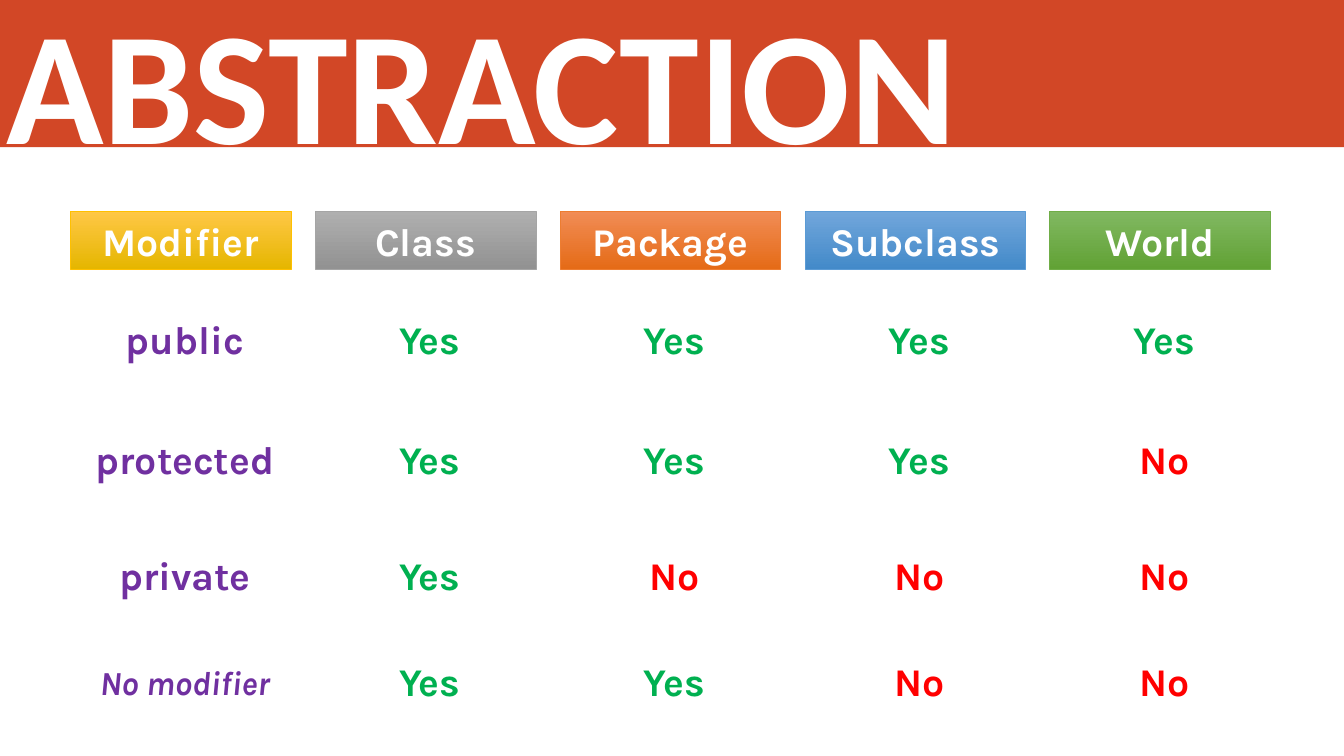
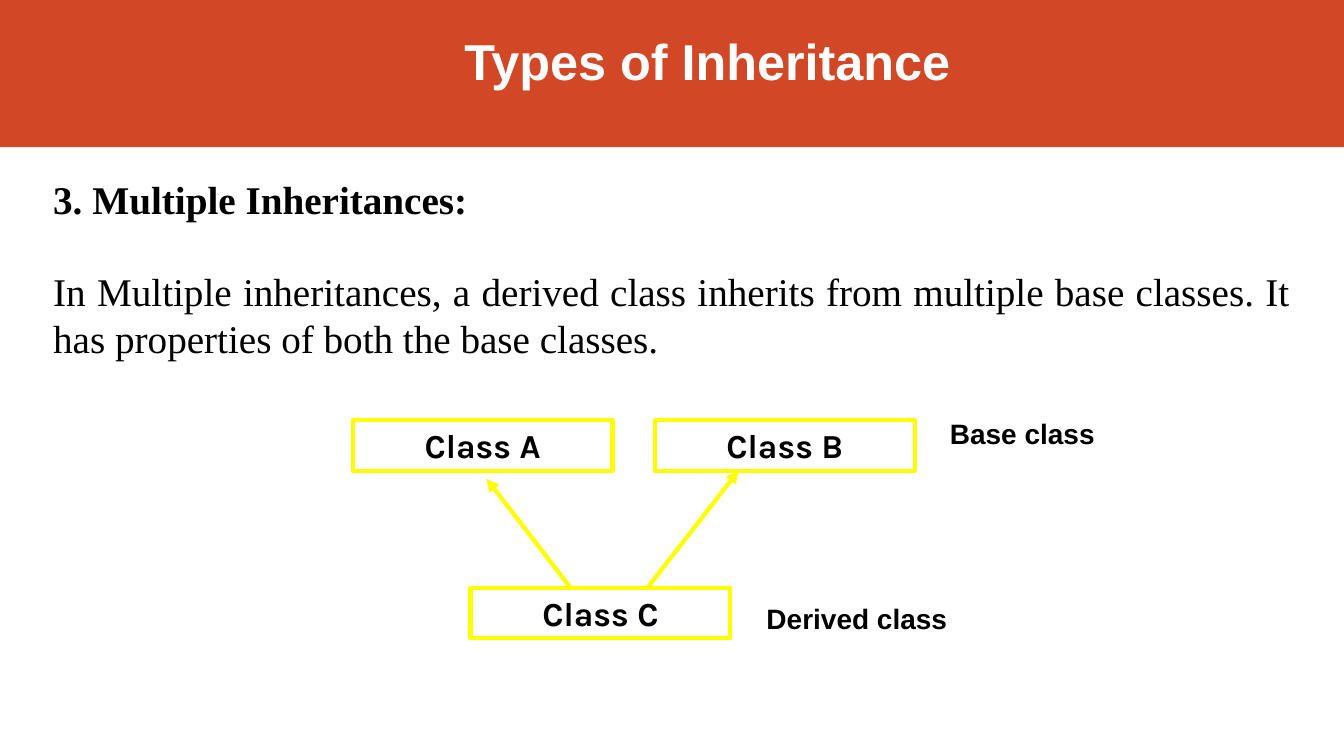
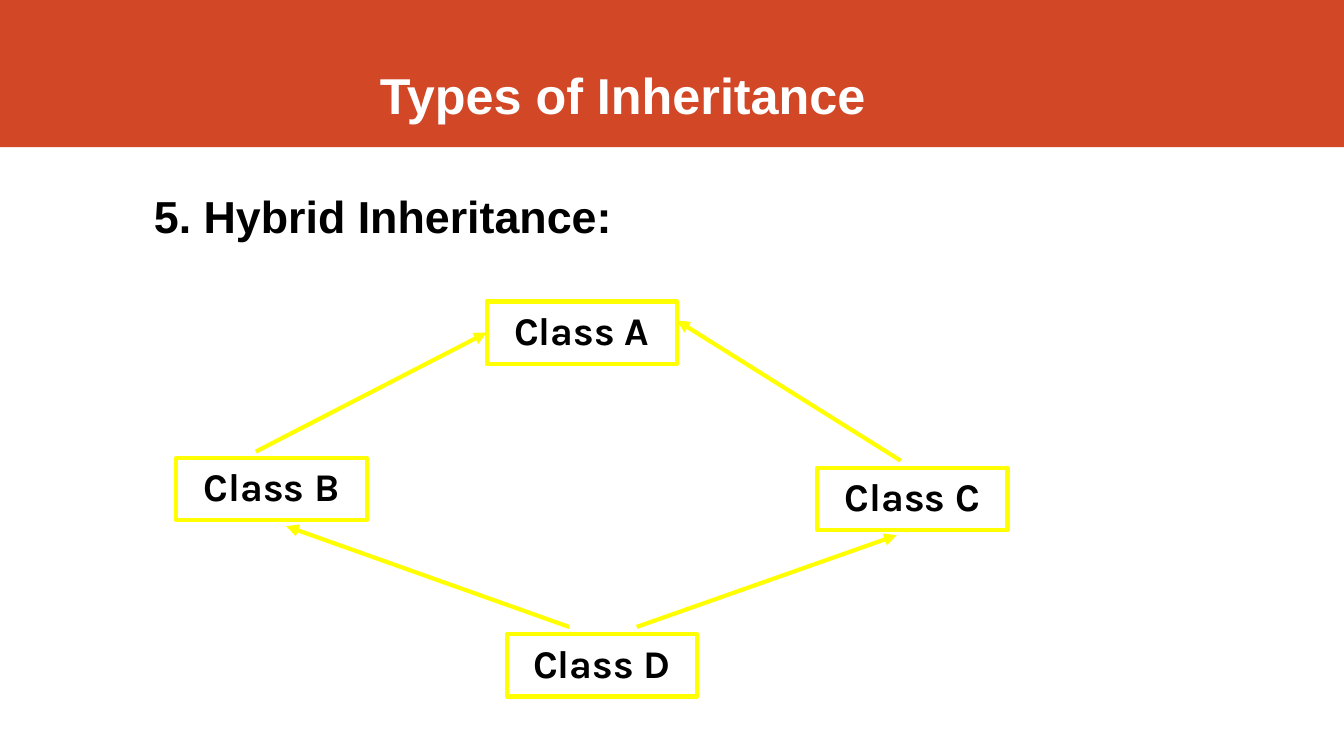
from lxml.etree import SubElement
from pptx import Presentation
from pptx.dml.color import RGBColor
from pptx.enum.shapes import MSO_CONNECTOR as Connector, MSO_SHAPE as Shape
from pptx.enum.text import MSO_ANCHOR as Anchor, MSO_AUTO_SIZE as AutoSize, PP_ALIGN as Align
from pptx.oxml.ns import qn
from pptx.util import Pt

PX = 9144
WIDTH, HEIGHT, BAND_HEIGHT = 1334, 750, 146
BAND, WHITE, BLACK, YELLOW = "D24726", "FFFFFF", "000000", "FFFF00"
PURPLE, GREEN, RED = "7030A0", "00B050", "FF0000"
SANS, SERIF, HEAVY, DIAGRAM = "Arial", "Times New Roman", "Calibri", "Karla"

HEADERS = [
    ("Modifier", "FFC746", "E5B600", "FFC000"),
    ("Class", "AFAFAF", "929292", "A5A5A5"),
    ("Package", "F18C55", "E56B17", "ED7D31"),
    ("Subclass", "71A6DB", "438AC9", "5B9BD5"),
    ("World", "81B861", "61A235", "70AD47"),
]
ACCESS = [
    ("public", "Yes", "Yes", "Yes", "Yes"),
    ("protected", "Yes", "Yes", "Yes", "No"),
    ("private", "Yes", "No", "No", "No"),
    ("No modifier", "Yes", "Yes", "No", "No"),
]
ROW_HEIGHTS = [119, 119, 111, 101]


def rgb(value):
    """Return the colour for a hex string."""
    return RGBColor.from_string(value)


def emu(*lengths):
    """Turn px lengths into EMU."""
    return [length * PX for length in lengths]


def style(paragraph, font, size, color, bold=True, italic=False, align=Align.LEFT):
    """Format a paragraph and its runs."""
    paragraph.alignment = align
    for run in paragraph.runs:
        run.font.name, run.font.size = font, Pt(size)
        run.font.bold, run.font.italic = bold, italic
        run.font.color.rgb = rgb(color)


def add_title(slide, box, text, font=SANS, size=36):
    """Place the title placeholder and style its text."""
    title = slide.shapes.title
    title.left, title.top, title.width, title.height = emu(*box)
    frame = title.text_frame
    frame.text = text
    frame.auto_size = AutoSize.NONE
    frame.word_wrap = True
    frame.vertical_anchor = Anchor.TOP
    style(frame.paragraphs[0], font, size, WHITE)
    return frame


def add_text(slide, box, text, font, size):
    """Add a wrapped black text box with a bold first paragraph."""
    frame = slide.shapes.add_textbox(*emu(*box)).text_frame
    frame.word_wrap = True
    frame.text = text
    style(frame.paragraphs[0], font, size, BLACK)
    return frame


def add_rectangle(slide, box, line, line_width):
    """Add an unshadowed outlined rectangle."""
    shape = slide.shapes.add_shape(Shape.RECTANGLE, *emu(*box))
    shape.shadow.inherit = False
    shape.line.color.rgb = rgb(line)
    shape.line.width = Pt(line_width)
    return shape


def add_layout_band(layout, slide):
    """Draw the title band and move it into the shared layout."""
    band = add_rectangle(slide, (0, 0, WIDTH, BAND_HEIGHT), BAND, 1)
    band.fill.solid()
    band.fill.fore_color.rgb = rgb(BAND)
    band.line.fill.background()
    layout.shapes.element.insert(2, band.element)


def add_headers(slide, left, top, width, height, pitch):
    """Add a row of gradient column headings."""
    for index, (text, start, end, line) in enumerate(HEADERS):
        shape = add_rectangle(slide, (left + index * pitch, top, width, height), line, 0.5)
        shape.fill.gradient()
        shape.fill.gradient_angle = 270
        for stop, color in zip(shape.fill.gradient_stops, (start, end)):
            stop.color.rgb = rgb(color)
        shape.text_frame.text = text
        shape.text_frame.vertical_anchor = Anchor.MIDDLE
        style(shape.text_frame.paragraphs[0], DIAGRAM, 28, WHITE, align=Align.CENTER)


def add_access_table(slide, left, top, pitch):
    """Add the table of access by modifier."""
    box = emu(left, top, pitch * len(HEADERS), sum(ROW_HEIGHTS))
    table = slide.shapes.add_table(len(ACCESS), len(HEADERS), *box).table
    table.first_row = table.horz_banding = False
    for column in table.columns:
        column.width = pitch * PX
    for row, height, texts in zip(table.rows, ROW_HEIGHTS, ACCESS):
        row.height = height * PX
        for cell, text in zip(row.cells, texts):
            cell.fill.background()
            cell.vertical_anchor = Anchor.MIDDLE
            cell.text = text
            special = text == "No modifier"
            color = {"Yes": GREEN, "No": RED}.get(text, PURPLE)
            style(cell.text_frame.paragraphs[0], DIAGRAM, 24 if special else 28, color,
                  italic=special, align=Align.CENTER)


def add_arrow(slide, start, end):
    """Add a yellow arrow from start to end."""
    arrow = slide.shapes.add_connector(Connector.STRAIGHT, *emu(*start, *end))
    arrow.line.color.rgb = rgb(YELLOW)
    arrow.line.width = Pt(3)
    SubElement(arrow.line._get_or_add_ln(), qn("a:tailEnd"), type="triangle")
    SubElement(arrow.element.spPr, qn("a:effectLst"))
    return arrow


def add_class_diagram(slide, left, top, size, font_size, classes, arrows):
    """Add class boxes and arrows, placed from the diagram's corner."""
    boxes = {}
    for name, (x, y) in classes.items():
        shape = add_rectangle(slide, (left + x, top + y, *size), YELLOW, 3)
        shape.fill.background()
        shape.text_frame.text = name
        shape.text_frame.vertical_anchor = Anchor.TOP
        style(shape.text_frame.paragraphs[0], DIAGRAM, font_size, BLACK, align=Align.CENTER)
        boxes[name] = shape
    for x1, y1, x2, y2, *joint in arrows:
        arrow = add_arrow(slide, (left + x1, top + y1), (left + x2, top + y2))
        if joint:
            name, side = joint
            arrow.end_connect(boxes[name], side)


def build_abstraction(slide):
    """Build the access modifier slide."""
    frame = add_title(slide, (-4, 20, WIDTH, 150), "ABSTRACTION", HEAVY, 115)
    frame.vertical_anchor = Anchor.BOTTOM
    frame.margin_top = frame.margin_bottom = 0
    frame.paragraphs[0].line_spacing = 0.7
    add_headers(slide, 70, 210, 219, 57, 243)
    add_access_table(slide, 62, 279, 243)


def build_multiple(slide):
    """Build the multiple inheritance slide."""
    add_title(slide, (451, 25, 530, 70), "Types of Inheritance")
    frame = add_text(slide, (43, 169, 1247, 197), "3. Multiple Inheritances:", SERIF, 28)
    paragraph = frame.add_paragraph()
    paragraph.text = ("In Multiple inheritances, a derived class inherits from multiple "
                      "base classes. It has properties of both the base classes.")
    paragraph.space_before = Pt(32)
    style(paragraph, SERIF, 28, BLACK, bold=False, align=Align.JUSTIFY)
    add_class_diagram(
        slide, 350, 417, (258, 50), 24,
        {"Class A": (0, 0), "Class B": (300, 0), "Class C": (117, 166)},
        [(292, 167, 383, 50), (217, 167, 133, 58)])
    add_text(slide, (933, 408, 180, 44), "Base class", SANS, 20)
    add_text(slide, (751, 592, 210, 44), "Derived class", SANS, 20)


def build_hybrid(slide):
    """Build the hybrid inheritance slide."""
    add_title(slide, (367, 59, 530, 70), "Types of Inheritance")
    add_text(slide, (143, 182, 500, 64), "5. Hybrid Inheritance:", SANS, 32)
    add_class_diagram(
        slide, 175, 299, (189, 62), 28,
        {"Class A": (308, 0), "Class B": (0, 155), "Class C": (636, 165), "Class D": (328, 330)},
        [(390, 323, 109, 223), (457, 323, 715, 232), (719, 158, 497, 19),
         (79, 149, 308, 31, "Class A", 1)])


def main():
    """Build and save the presentation."""
    presentation = Presentation()
    presentation.slide_width, presentation.slide_height = emu(WIDTH, HEIGHT)
    layout = presentation.slide_layouts[5]
    builders = [build_abstraction, build_multiple, build_hybrid]
    slides = [presentation.slides.add_slide(layout) for _ in builders]
    add_layout_band(layout, slides[0])
    for build, slide in zip(builders, slides):
        build(slide)
    presentation.save("out.pptx")


if __name__ == "__main__":
    main()
